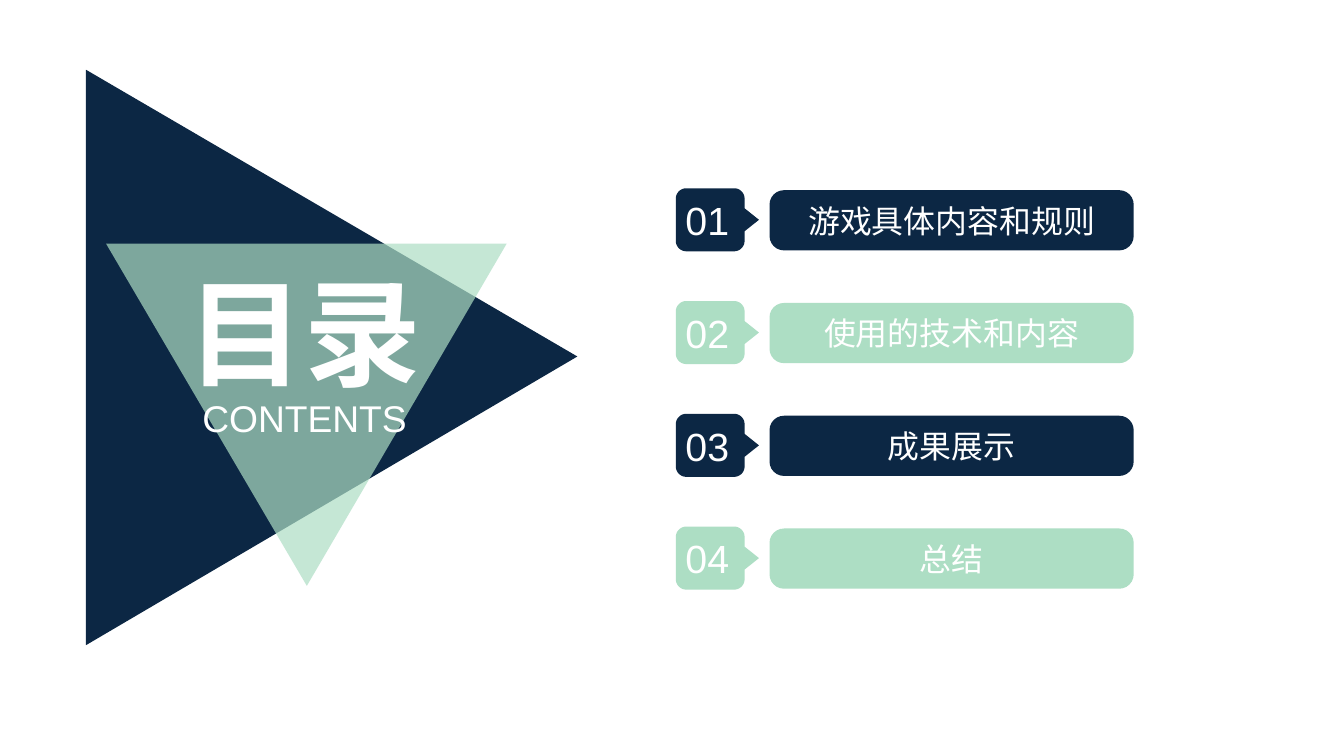
"""Build a contents slide with two triangles and four numbered bars."""
from dataclasses import dataclass
from math import cos, radians, sin

from lxml import etree
from pptx import Presentation
from pptx.dml.color import RGBColor
from pptx.enum.shapes import MSO_SHAPE
from pptx.enum.text import MSO_ANCHOR, PP_ALIGN
from pptx.oxml.ns import qn
from pptx.util import Inches, Pt

ROUND = MSO_SHAPE.ROUNDED_RECTANGLE
CENTER = PP_ALIGN.CENTER
TOP = MSO_ANCHOR.TOP
MIDDLE = MSO_ANCHOR.MIDDLE


@dataclass(frozen=True)
class Theme:
    """Hold the font, colours and type sizes."""
    font: str = "Arial"
    navy: str = "0C2744"
    mint: str = "ADDEC4"
    white: str = "FFFFFF"
    title: float = 88
    label: float = 28
    item: float = 24
    number: float = 29.6


THEME = Theme()
ITEMS = ["游戏具体内容和规则", "使用的技术和内容", "成果展示", "总结"]
ROW_TOP = 1.97
ROW_STEP = 1.18


def paint(shape, color, alpha=None):
    """Give a shape a plain fill, with no line or shadow."""
    shape.shadow.inherit = False
    shape.line.fill.background()
    shape.fill.solid()
    shape.fill.fore_color.rgb = RGBColor.from_string(color)
    if alpha is not None:
        node = next(shape.element.iter(qn("a:srgbClr")))
        etree.SubElement(node, qn("a:alpha")).set("val", str(alpha * 1000))


def write(shape, text, size, bold=False, anchor=MIDDLE, inset=(0, 0, 0, 0)):
    """Put centred white text in a shape."""
    frame = shape.text_frame
    frame.word_wrap = True
    frame.vertical_anchor = anchor
    (frame.margin_left, frame.margin_top,
     frame.margin_right, frame.margin_bottom) = map(Inches, inset)
    line = frame.paragraphs[0]
    line.alignment = CENTER
    run = line.add_run()
    run.text = text
    run.font.name = THEME.font
    run.font.size = Pt(size)
    run.font.bold = bold
    run.font.color.rgb = RGBColor.from_string(THEME.white)


def outline(slide, points, color, alpha=None):
    """Draw a closed, filled outline through points in inches."""
    start, *rest = [(Inches(x), Inches(y)) for x, y in points]
    pen = slide.shapes.build_freeform(*start)
    pen.add_line_segments(rest, close=True)
    shape = pen.convert_to_shape()
    paint(shape, color, alpha)
    return shape


def corner(x, y, radius, start):
    """List points on a quarter turn about a centre."""
    turns = [radians(start + step) for step in range(0, 91, 10)]
    return [(x + radius * cos(t), y + radius * sin(t)) for t in turns]


def tag(slide, left, top, text, color):
    """Draw a rounded number tag that points right."""
    wide, high, radius, tip, half = 0.72, 0.66, 0.11, 0.15, 0.12
    right, mid = left + wide, top + high / 2
    near, far = left + radius, right - radius
    upper, lower = top + radius, top + high - radius
    points = [
        *corner(near, lower, radius, 90),
        *corner(near, upper, radius, 180),
        *corner(far, upper, radius, 270),
        (right, mid - half), (right + tip, mid), (right, mid + half),
        *corner(far, lower, radius, 0),
    ]
    shape = outline(slide, points, color)
    write(shape, text, THEME.number, inset=(0, 0.05, 0.21, 0.05))


def bar(slide, left, top, text, color):
    """Draw a rounded bar that names a section."""
    box = map(Inches, (left, top, 3.81, 0.63))
    shape = slide.shapes.add_shape(ROUND, *box)
    shape.adjustments[0] = 0.24
    paint(shape, color)
    write(shape, text, THEME.item)


def label(slide, box, text, size, bold=False):
    """Add a free text box."""
    shape = slide.shapes.add_textbox(*map(Inches, box))
    write(shape, text, size, bold=bold, anchor=TOP)


def main():
    """Build and save the slide."""
    deck = Presentation()
    deck.slide_width, deck.slide_height = Inches(14.06), Inches(7.91)
    slide = deck.slides.add_slide(deck.slide_layouts[6])

    outline(slide, [(0.9, 6.75), (0.9, 0.73), (6.04, 3.73)], THEME.navy)
    outline(slide, [(1.11, 2.55), (5.3, 2.55), (3.21, 6.13)], THEME.mint, alpha=70)

    colors = (THEME.navy, THEME.mint)
    for row, text in enumerate(ITEMS):
        top = ROW_TOP + row * ROW_STEP
        color = colors[row % 2]
        bar(slide, 8.05, top + 0.02, text, color)
        tag(slide, 7.07, top, f"{row + 1:02}", color)

    label(slide, (1.94, 2.73, 2.49, 1.48), "目录", THEME.title, bold=True)
    label(slide, (1.88, 4.14, 2.61, 0.47), "CONTENTS", THEME.label)
    deck.save("out.pptx")


main()
